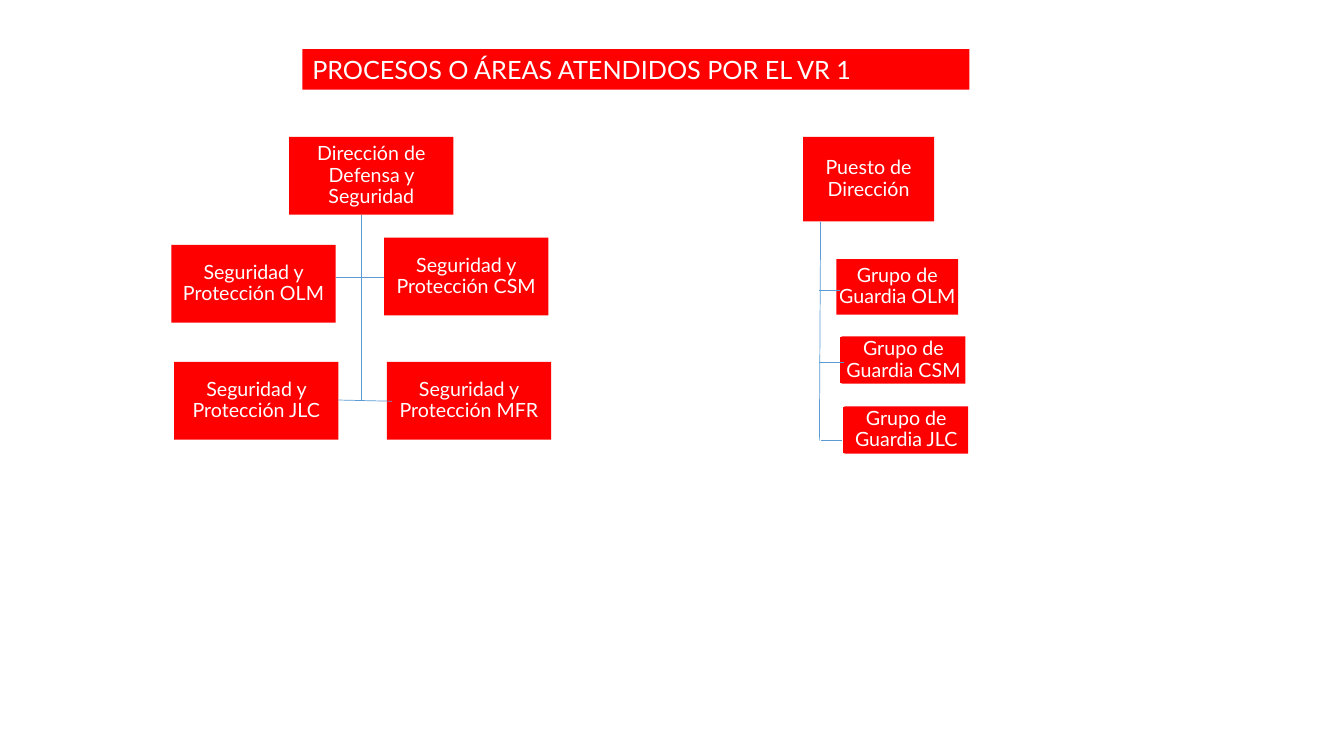
from dataclasses import dataclass

from lxml.etree import SubElement
from pptx import Presentation
from pptx.dml.color import RGBColor
from pptx.enum.shapes import MSO_CONNECTOR as Link, MSO_SHAPE as Form
from pptx.enum.text import MSO_ANCHOR as Anchor, MSO_AUTO_SIZE as Fit, PP_ALIGN as Align
from pptx.oxml.ns import qn
from pptx.util import Cm, Pt

RED, WHITE, BLUE = "FF0000", "FFFFFF", "5B9BD5"
INSET = Cm(0.03)
FRAME = {"word_wrap": True, "vertical_anchor": Anchor.MIDDLE,
         "margin_left": INSET, "margin_right": INSET,
         "margin_top": INSET, "margin_bottom": INSET}
BANNER = {"word_wrap": True, "vertical_anchor": Anchor.TOP, "auto_size": Fit.SHAPE_TO_FIT_TEXT}
CENTER = {"alignment": Align.CENTER, "line_spacing": 0.9}
LEFT = {"alignment": Align.LEFT}


# Lengths below are centimetres
@dataclass
class Box:
    text: str
    x: float
    y: float
    w: float = 4.14
    h: float = 1.96
    shift: float = 0  # offset of the text panel from its base


@dataclass
class Line:
    x1: float
    y1: float
    x2: float
    y2: float


def color(code: str) -> RGBColor:
    return RGBColor.from_string(code)


def apply(target, values: dict) -> None:
    for name, value in values.items():
        setattr(target, name, value)


def add_rect(shapes, x: float, y: float, w: float, h: float):
    rect = shapes.add_shape(Form.RECTANGLE, Cm(x), Cm(y), Cm(w), Cm(h))
    rect.shadow.inherit = False
    rect.fill.solid()
    rect.fill.fore_color.rgb = color(RED)
    rect.line.fill.background()
    return rect


def write(rect, text: str, size: int, frame: dict, para: dict) -> None:
    apply(rect.text_frame, frame)
    first = rect.text_frame.paragraphs[0]
    apply(first, para)
    run = first.add_run()
    run.text = text
    apply(run.font, {"name": "Lato", "size": Pt(size)})
    run.font.color.rgb = color(WHITE)


def draw_box(slide, box: Box) -> None:
    group = slide.shapes.add_group_shape()
    base = add_rect(group.shapes, box.x, box.y, box.w, box.h)
    base.line.color.rgb = color(WHITE)
    base.line.width = Pt(1)
    panel = add_rect(group.shapes, box.x + box.shift, box.y, box.w, box.h)
    write(panel, box.text, 14, FRAME, CENTER)


def draw_line(slide, line: Line) -> None:
    ends = map(Cm, (line.x1, line.y1, line.x2, line.y2))
    link = slide.shapes.add_connector(Link.STRAIGHT, *ends)
    link.line.color.rgb = color(BLUE)
    link.line.width = Pt(0.5)
    SubElement(link._element.spPr, qn("a:effectLst"))


# Both charts, from back to front
PARTS = [
    # Defence and security
    Box("Dirección de Defensa y Seguridad", 7.29, 3.45),
    Box("Seguridad y Protección OLM", 4.32, 6.17),
    Box("Seguridad y Protección JLC", 4.39, 9.12),
    Box("Seguridad y Protección CSM", 9.68, 5.99),
    Box("Seguridad y Protección MFR", 9.75, 9.12),
    Line(9.12, 5.41, 9.12, 10.08),
    Line(8.46, 6.99, 9.68, 6.99),
    Line(8.53, 10.08, 9.88, 10.11),
    # Command post
    Box("Puesto de Dirección", 20.24, 3.45, 3.3, 2.13),
    Box("Grupo de Guardia OLM", 21.08, 6.53, 3.07, 1.4),
    Box("Grupo de Guardia CSM", 21.16, 8.48, 3.12, 1.19, 0.05),
    Line(20.65, 11.1, 20.68, 5.59),
    Line(20.65, 7.32, 21.16, 7.32),
    Line(21.29, 11.1, 20.7, 11.1),
    Box("Grupo de Guardia JLC", 21.23, 10.24, 3.12, 1.19, 0.05),
    Line(21.26, 9.12, 20.65, 9.12),
]


def main() -> None:
    deck = Presentation()
    deck.slide_width, deck.slide_height = Cm(33.87), Cm(19.05)
    slide = deck.slides.add_slide(deck.slide_layouts[6])

    # Title banner
    title = add_rect(slide.shapes, 7.62, 1.24, 16.81, 1.02)
    write(title, "PROCESOS O ÁREAS ATENDIDOS POR EL VR 1", 18, BANNER, LEFT)

    # Boxes and links
    for part in PARTS:
        if isinstance(part, Box):
            draw_box(slide, part)
        else:
            draw_line(slide, part)

    deck.save("out.pptx")


if __name__ == "__main__":
    main()
